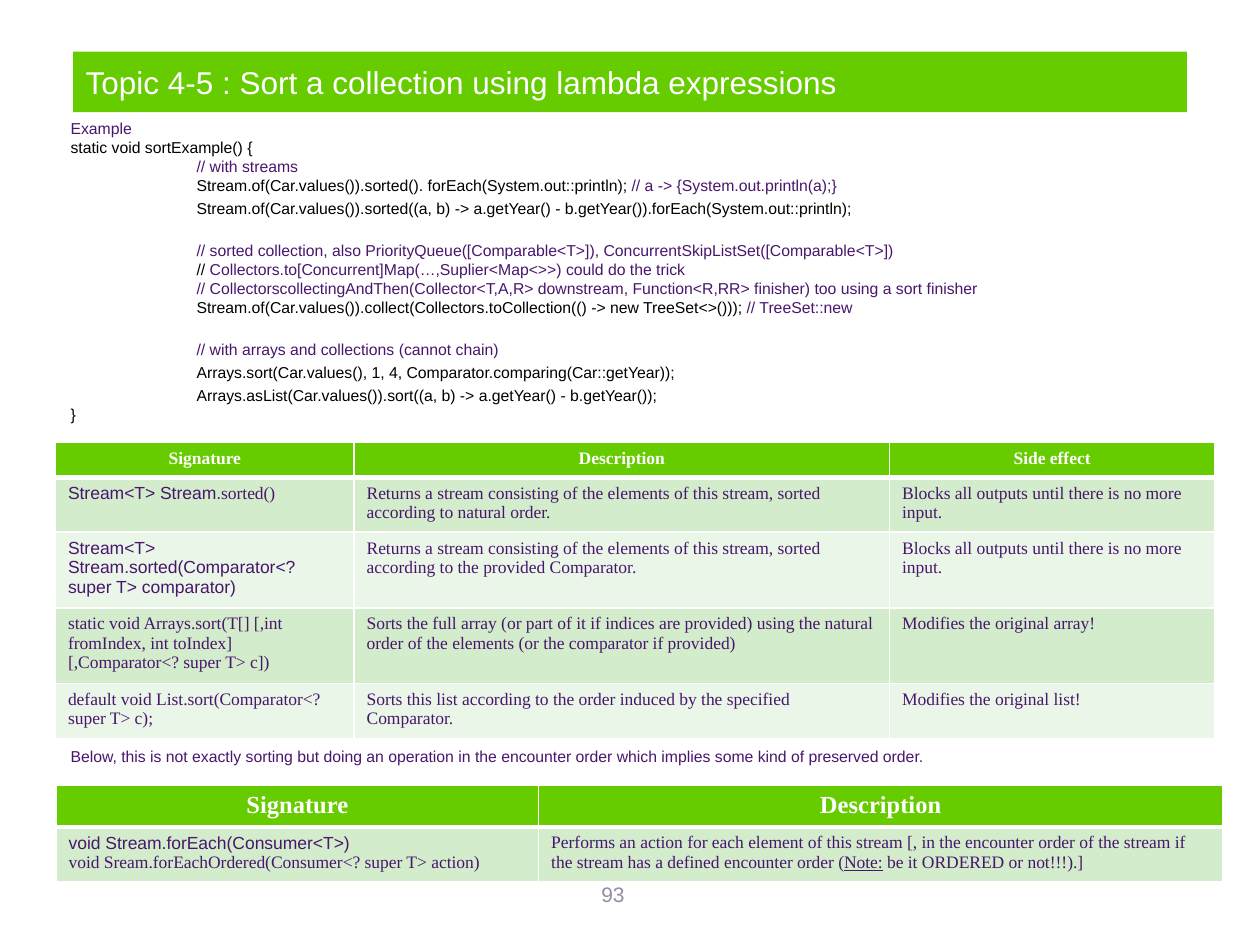
from dataclasses import dataclass
from lxml.etree import SubElement
from pptx import Presentation
from pptx.dml.color import RGBColor as Color
from pptx.enum.text import MSO_ANCHOR as Anchor, MSO_AUTO_SIZE as Fit, PP_ALIGN as Align
from pptx.oxml.ns import qn
from pptx.util import Inches, Pt


@dataclass(frozen=True)
class Theme:
    """Colours, fonts, type sizes and spacings of the page."""
    green: str = "66CC00"
    bands: tuple = ("D3ECCC", "EAF6E7")
    white: str = "FFFFFF"
    black: str = "000000"
    purple: str = "49166D"
    grey: str = "958CA3"
    sans: str = "Arial"
    serif: str = "Times New Roman"
    title: int = 18
    head: int = 14
    number: int = 12
    cell: int = 10
    code: int = 9
    pitch: float = 10.85
    step: float = 2.25
    section: float = 13.15


@dataclass(frozen=True)
class Box:
    """A region measured on a page grid of 100 columns by 75 rows."""
    left: float
    top: float
    width: float
    height: float

    def edges(self):
        """Return left, top, width and height as lengths."""
        return [Inches(value / 10) for value in (self.left, self.top, self.width, self.height)]

    def place(self, shape):
        """Move and size a shape to this region."""
        for name, value in zip(("left", "top", "width", "height"), self.edges()):
            setattr(shape, name, value)


THEME = Theme()
PLAIN, NOTE = THEME.black, THEME.purple
SANS, SERIF = THEME.sans, THEME.serif

CODE = [
    (0, 0, [("Example", NOTE)]),
    (0, 0, [("static void sortExample() {", PLAIN)]),
    (1, 0, [("// with streams", NOTE)]),
    (1, 0, [("Stream.of(Car.values()).sorted(). forEach(System.out::println); ", PLAIN),
            ("// a -> {System.out.println(a);}", NOTE)]),
    (1, THEME.step, [("Stream.of(Car.values()).sorted((a, b) -> a.getYear() - b.getYear())"
                      ".forEach(System.out::println);", PLAIN)]),
    (1, THEME.section, [("// sorted collection, also PriorityQueue([Comparable<T>]), "
                         "ConcurrentSkipListSet([Comparable<T>])", NOTE)]),
    (1, 0, [("// ", PLAIN), ("Collectors.to[Concurrent]Map(…,Suplier<Map<>>) could do the trick", NOTE)]),
    (1, 0, [("// CollectorscollectingAndThen(Collector<T,A,R> downstream, Function<R,RR> finisher) "
             "too using a sort finisher", NOTE)]),
    (1, 0, [("Stream.of(Car.values()).collect(Collectors.toCollection(() -> new TreeSet<>())); ", PLAIN),
            ("// TreeSet::new", NOTE)]),
    (1, THEME.section, [("// with arrays and collections (cannot chain)", NOTE)]),
    (1, THEME.step, [("Arrays.sort(Car.values(), 1, 4, Comparator.comparing(Car::getYear));", PLAIN)]),
    (1, THEME.step, [("Arrays.asList(Car.values()).sort((a, b) -> a.getYear() - b.getYear());", PLAIN)]),
    (0, 0, [("}", PLAIN)]),
    (0, 185, [("Below, this is not exactly sorting but doing an operation in the encounter order "
               "which implies some kind of preserved order.", NOTE)]),
]

BLOCKS = "Blocks all outputs until there is no more input."
SORTING = [
    ["Signature", "Description", "Side effect"],
    [[("Stream<T> Stream.", SANS), ("sorted()", SERIF)],
     "Returns a stream consisting of the elements of this stream, sorted according to natural order.",
     BLOCKS],
    [[("Stream<T> Stream.sorted(Comparator<? super T> comparator)", SANS)],
     "Returns a stream consisting of the elements of this stream, sorted according to the provided Comparator.",
     BLOCKS],
    ["static void Arrays.sort(T[] [,int fromIndex, int toIndex] [,Comparator<? super T> c])",
     "Sorts the full array (or part of it if indices are provided) using the natural order of the "
     "elements (or the comparator if provided)",
     "Modifies the original array!"],
    ["default void List.sort(Comparator<? super T> c);",
     "Sorts this list according to the order induced by the specified Comparator.",
     "Modifies the original list!"],
]
ENCOUNTER = [
    ["Signature", "Description"],
    [[("void Stream.forEach(Consumer<T>)", SANS), ("\n", SANS),
      ("void Sream.forEachOrdered(Consumer<? super T> action)", SERIF)],
     [("Performs an action for each element of this stream [, in the encounter order of the stream "
       "if the stream has a defined encounter order (", SERIF),
      ("Note:", SERIF, True), (" be it ORDERED or not!!!).]", SERIF)]],
]


def set_all(target, values):
    """Set each named attribute on the target."""
    for name, value in values.items():
        setattr(target, name, value)


def add_span(para, text, size, color, name=SANS, **style):
    """Add one formatted run to a paragraph."""
    span = para.add_run()
    span.text = text
    set_all(span.font, {"name": name, "size": Pt(size), **style})
    span.font.color.rgb = Color.from_string(color)


def fill_with(part, color):
    """Give a shape or cell a solid fill."""
    part.fill.solid()
    part.fill.fore_color.rgb = Color.from_string(color)


def build_title(page, box, text):
    """Place the title on its green band."""
    title = page.shapes.title
    box.place(title)
    fill_with(title, THEME.green)
    set_all(title.text_frame, {"auto_size": Fit.NONE, "word_wrap": True, "vertical_anchor": Anchor.MIDDLE})
    para = title.text_frame.paragraphs[0]
    para.alignment = Align.LEFT
    add_span(para, text, THEME.title, THEME.white)


def build_code(page, box, lines):
    """Fill the body placeholder with the code listing and its remark."""
    body = page.placeholders[1]
    box.place(body)
    frame = body.text_frame
    set_all(frame, {"auto_size": Fit.NONE, "word_wrap": True, "vertical_anchor": Anchor.TOP})
    for index, (depth, gap, spans) in enumerate(lines):
        para = frame.add_paragraph() if index else frame.paragraphs[0]
        set_all(para, {"alignment": Align.LEFT, "space_before": Pt(gap),
                       "space_after": Pt(0), "line_spacing": Pt(THEME.pitch)})
        properties = para._p.get_or_add_pPr()
        properties.set("marL", str(Inches(depth)))
        properties.set("indent", "0")
        SubElement(properties, qn("a:buNone"))
        for text, color in spans:
            add_span(para, text, THEME.code, color)


def add_borders(cell, widths):
    """Draw white borders of the given widths around a cell."""
    properties = cell._tc.get_or_add_tcPr()
    for index, (side, width) in enumerate(widths.items()):
        line = SubElement(properties, qn(f"a:ln{side}"), w=str(Pt(width)))
        solid = SubElement(line, qn("a:solidFill"))
        SubElement(solid, qn("a:srgbClr"), val=THEME.white)
        properties.insert(index, line)


def build_table(page, box, rows, columns, heights, head_size):
    """Build a banded table from column widths and row heights in grid units."""
    table = page.shapes.add_table(len(rows), len(columns), *box.edges()).table
    for column, width in zip(table.columns, columns):
        column.width = Inches(width / 10)
    for index, (row, height, contents) in enumerate(zip(table.rows, heights, rows)):
        row.height = Inches(height / 10)
        head = index == 0
        color = THEME.white if head else THEME.purple
        for cell, content in zip(row.cells, contents):
            fill_with(cell, THEME.green if head else THEME.bands[(index - 1) % 2])
            add_borders(cell, {"L": 1, "R": 1, "T": 3 if index == 1 else 1, "B": 3 if head else 1})
            para = cell.text_frame.paragraphs[0]
            para.alignment = Align.CENTER if head else Align.LEFT
            spans = [(content, SERIF)] if isinstance(content, str) else content
            for text, name, *underline in spans:
                if text == "\n":
                    para.add_line_break()
                    continue
                add_span(para, text, head_size if head else THEME.cell, color, name,
                         bold=head, underline=bool(underline))


def build_number(page, box, text):
    """Place the page number at the foot."""
    frame = page.shapes.add_textbox(*box.edges()).text_frame
    frame.word_wrap = True
    para = frame.paragraphs[0]
    para.alignment = Align.CENTER
    add_span(para, text, THEME.number, THEME.grey)


def main():
    """Build the deck and save it."""
    deck = Presentation()
    set_all(deck, {"slide_width": Inches(10), "slide_height": Inches(7.5)})
    page = deck.slides.add_slide(deck.slide_layouts[1])
    build_number(page, Box(37, 69.5, 23.3, 4), "93")
    build_title(page, Box(5.8, 4.1, 88.4, 4.8), "Topic 4-5 : Sort a collection using lambda expressions")
    build_code(page, Box(4.6, 8.9, 91.8, 56), CODE)
    build_table(page, Box(4.45, 62.3, 92.6, 7.1), ENCOUNTER, (38.3, 54.3), (3.1, 4), THEME.head)
    build_table(page, Box(4.4, 35.1, 92, 22.1), SORTING, (23.7, 42.5, 25.8),
                (2.8, 4, 5.7, 5.6, 4), THEME.cell)
    deck.save("out.pptx")


if __name__ == "__main__":
    main()
